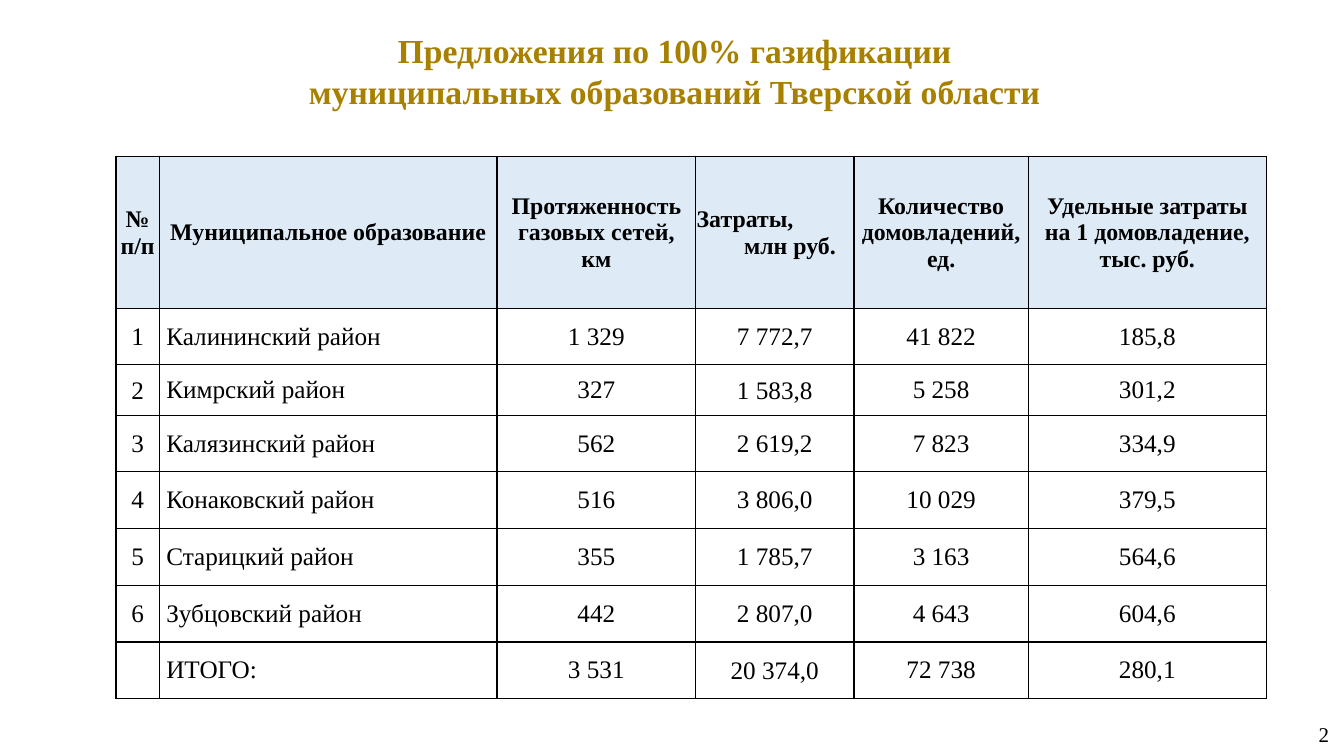
from dataclasses import dataclass

from lxml import etree
from pptx import Presentation
from pptx import util as u
from pptx.dml.color import RGBColor
from pptx.enum import text
from pptx.oxml import ns


@dataclass(frozen=True)
class Theme:
    font: str = "Times New Roman"
    title_color: str = "A88000"
    ink: str = "000000"
    header_fill: str = "DEEBF7"
    title_size: float = 24
    header_size: float = 17
    body_size: float = 18
    number_size: float = 15
    border_width: float = 1


THEME = Theme()
SLIDE_WIDTH, SLIDE_HEIGHT = 13.33, 7.5

COLUMN_WIDTHS = [0.43, 3.35, 1.97, 1.57, 1.73, 2.36]
ROW_HEIGHTS = [1.51, 0.56, 0.5, 0.56, 0.56, 0.57, 0.56, 0.56]
NUMBER_COLUMN, NAME_COLUMN, COST_COLUMN = 0, 1, 3
UNIT_INDENT = 0.47

HEADERS = [
    "№ п/п",
    "Муниципальное образование",
    "Протяженность газовых сетей,\nкм",
    "Затраты,\nмлн руб.",
    "Количество домовладений, ед.",
    "Удельные затраты\nна 1 домовладение,\nтыс. руб.",
]
DISTRICTS = [
    ["1", "Калининский район", "1 329", "7 772,7", "41 822", "185,8"],
    ["2", "Кимрский район", "327", "1 583,8", "5 258", "301,2"],
    ["3", "Калязинский район", "562", "2 619,2", "7 823", "334,9"],
    ["4", "Конаковский район", "516", "3 806,0", "10 029", "379,5"],
    ["5", "Старицкий район", "355", "1 785,7", "3 163", "564,6"],
    ["6", "Зубцовский район", "442", "2 807,0", "4 643", "604,6"],
    ["", "ИТОГО:", "3 531", "20 374,0", "72 738", "280,1"],
]


def format_text(frame, size, color, alignment, bold=False):
    for paragraph in frame.paragraphs:
        paragraph.alignment = alignment
        paragraph.font.size = u.Pt(size)
        for run in paragraph.runs:
            run.font.name = THEME.font
            run.font.size = u.Pt(size)
            run.font.bold = bold
            run.font.color.rgb = RGBColor.from_string(color)


def place(shape, box):
    shape.left, shape.top, shape.width, shape.height = map(u.Inches, box)


def add_title(slide, box):
    title = slide.shapes.title
    place(title, box)
    frame = title.text_frame
    frame.text = "Предложения по 100% газификации\nмуниципальных образований Тверской области"
    frame.word_wrap = True
    frame.auto_size = text.MSO_AUTO_SIZE.SHAPE_TO_FIT_TEXT
    frame.vertical_anchor = text.MSO_ANCHOR.TOP
    format_text(frame, THEME.title_size, THEME.title_color, text.PP_ALIGN.CENTER, bold=True)


def add_page_number(slide, box):
    frame = slide.shapes.add_textbox(*map(u.Inches, box)).text_frame
    frame.text = "2"
    frame.word_wrap = True
    frame.vertical_anchor = text.MSO_ANCHOR.MIDDLE
    format_text(frame, THEME.number_size, THEME.ink, text.PP_ALIGN.RIGHT)


def add_borders(cell):
    properties = cell._tc.get_or_add_tcPr()
    for side in ("a:lnL", "a:lnR", "a:lnT", "a:lnB"):
        line = etree.SubElement(properties, ns.qn(side), w=str(u.Pt(THEME.border_width)))
        fill = etree.SubElement(line, ns.qn("a:solidFill"))
        etree.SubElement(fill, ns.qn("a:srgbClr"), val=THEME.ink)


def fill_cell(cell, value, column, is_header):
    cell.text = value
    cell.vertical_anchor = text.MSO_ANCHOR.MIDDLE
    tight = is_header or column in (NUMBER_COLUMN, COST_COLUMN)
    cell.margin_left = cell.margin_right = u.Inches(0.01 if tight else 0.07)
    cell.margin_top = u.Inches(0.01 if tight else 0)
    cell.margin_bottom = 0
    add_borders(cell)
    if is_header:
        cell.fill.solid()
        cell.fill.fore_color.rgb = RGBColor.from_string(THEME.header_fill)
    else:
        cell.fill.background()
    left_aligned = column == (COST_COLUMN if is_header else NAME_COLUMN)
    format_text(
        cell.text_frame,
        THEME.header_size if is_header else THEME.body_size,
        THEME.ink,
        text.PP_ALIGN.LEFT if left_aligned else text.PP_ALIGN.CENTER,
        bold=is_header,
    )


def add_district_table(slide, left, top):
    rows = [HEADERS] + DISTRICTS
    box = (left, top, sum(COLUMN_WIDTHS), sum(ROW_HEIGHTS))
    table = slide.shapes.add_table(len(rows), len(HEADERS), *map(u.Inches, box)).table
    table.horz_banding = False
    for column, width in zip(table.columns, COLUMN_WIDTHS):
        column.width = u.Inches(width)
    for row, height in zip(table.rows, ROW_HEIGHTS):
        row.height = u.Inches(height)
    for row_index, values in enumerate(rows):
        for column_index, value in enumerate(values):
            fill_cell(table.cell(row_index, column_index), value, column_index, row_index == 0)
    unit = table.cell(0, COST_COLUMN).text_frame.paragraphs[1]
    unit._p.get_or_add_pPr().set("marL", str(u.Inches(UNIT_INDENT)))


def main():
    presentation = Presentation()
    presentation.slide_width = u.Inches(SLIDE_WIDTH)
    presentation.slide_height = u.Inches(SLIDE_HEIGHT)
    slide = presentation.slides.add_slide(presentation.slide_layouts.get_by_name("Title Only"))
    add_page_number(slide, (10.57, 6.98, 2.71, 0.61))
    add_title(slide, (0.96, 0.25, 11.46, 0.91))
    add_district_table(slide, 1.15, 1.55)
    presentation.save("out.pptx")


if __name__ == "__main__":
    main()
